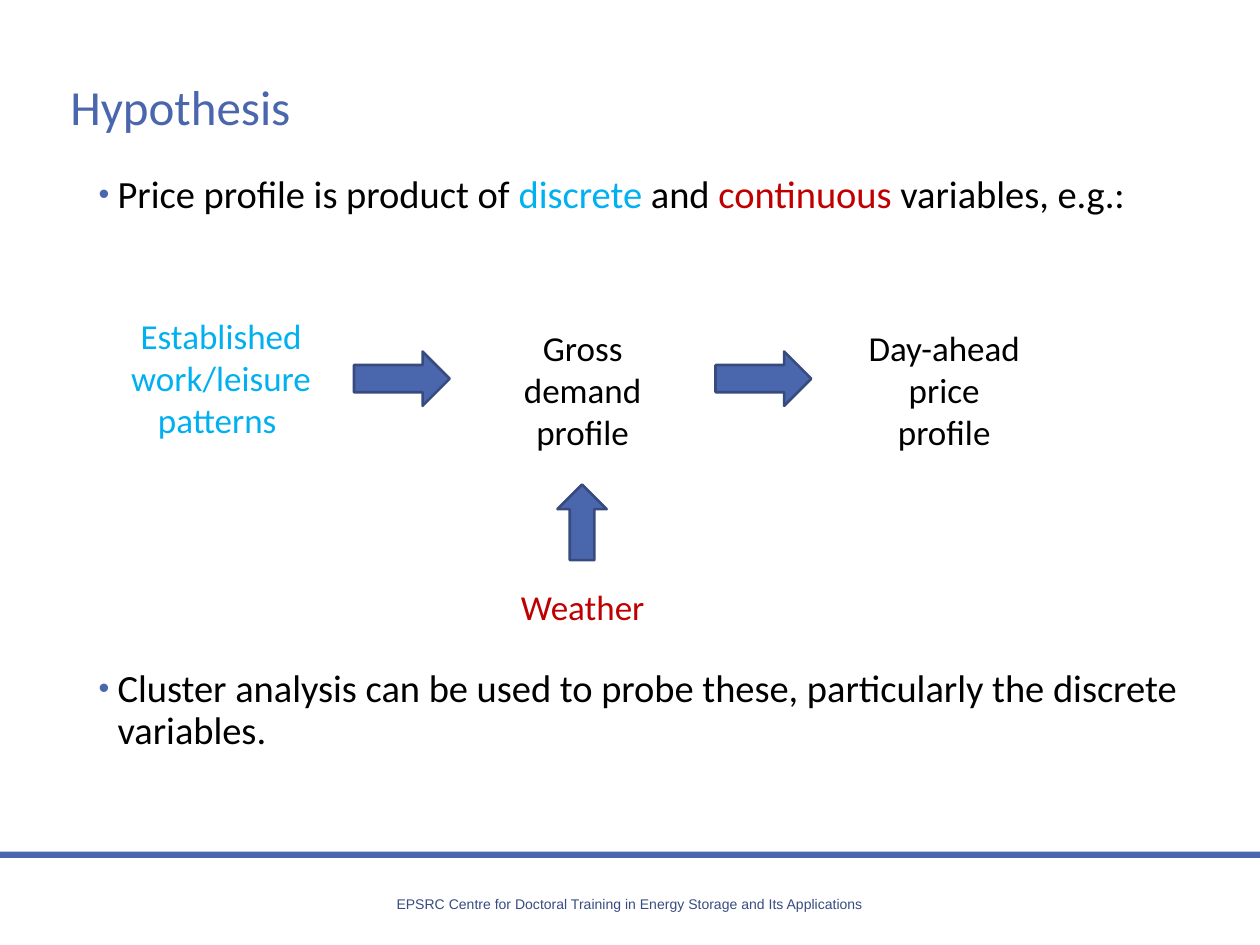
from dataclasses import dataclass

from lxml.etree import SubElement
from pptx import Presentation
from pptx.dml.color import RGBColor as Color
from pptx.enum.shapes import MSO_SHAPE as Shape
from pptx.enum.text import MSO_ANCHOR as Anchor, PP_ALIGN as Align
from pptx.oxml.ns import qn
from pptx.util import Pt


@dataclass(frozen=True)
class Theme:
    accent: str = "4A66AC"
    outline: str = "374B7F"
    footer: str = "384C81"
    panel: str = "FFFFFF"
    text: str = "000000"
    discrete: str = "00B0F0"
    continuous: str = "C00000"
    font: str = "Calibri"
    footer_font: str = "Arial"
    title_size: int = 28
    body_size: int = 22
    label_size: int = 20
    footer_size: int = 8


THEME = Theme()
COLUMN_LEFT, COLUMN_WIDTH, COLUMN_STEP = 64.8, 123.1, 206.6


def add_panel(slide, top, height):
    panel = slide.shapes.add_shape(Shape.RECTANGLE, 0, Pt(top), Pt(720), Pt(height))
    panel.shadow.inherit = False
    panel.fill.solid()
    panel.fill.fore_color.rgb = Color.from_string(THEME.panel)
    panel.line.fill.background()


def add_text(slide, box, paragraphs, size, font=THEME.font, align=Align.LEFT, anchor=Anchor.TOP):
    shape = slide.shapes.add_textbox(*map(Pt, box))
    frame = shape.text_frame
    frame.word_wrap = True
    frame.vertical_anchor = anchor
    for index, runs in enumerate(paragraphs):
        paragraph = frame.add_paragraph() if index else frame.paragraphs[0]
        paragraph.alignment = align
        for text, color in runs:
            run = paragraph.add_run()
            run.text = text
            run.font.name = font
            run.font.size = Pt(size)
            run.font.color.rgb = Color.from_string(color)
    return frame


def add_bullet(slide, box, runs):
    paragraph = add_text(slide, box, [runs], THEME.body_size).paragraphs[0]
    paragraph.line_spacing = 0.9
    paragraph.space_before = Pt(1.5)
    paragraph.space_after = Pt(3)
    properties = paragraph._p.get_or_add_pPr()
    properties.set("marL", str(Pt(27)))
    properties.set("indent", str(Pt(-10.8)))
    bullet_color = SubElement(properties, qn("a:buClr"))
    SubElement(bullet_color, qn("a:srgbClr"), val=THEME.accent)
    SubElement(properties, qn("a:buSzPct"), val="80000")
    SubElement(properties, qn("a:buFont"), typeface="Arial")
    SubElement(properties, qn("a:buChar"), char="•")


def add_label(slide, column, top, height, lines, color):
    box = (COLUMN_LEFT + column * COLUMN_STEP, top, COLUMN_WIDTH, height)
    paragraphs = [[(line, color)] for line in lines]
    add_text(slide, box, paragraphs, THEME.label_size, align=Align.CENTER)


def add_arrow(slide, left, top, width, height, rotation=0):
    arrow = slide.shapes.add_shape(Shape.RIGHT_ARROW, Pt(left), Pt(top), Pt(width), Pt(height))
    arrow.rotation = rotation
    arrow.shadow.inherit = False
    arrow.fill.solid()
    arrow.fill.fore_color.rgb = Color.from_string(THEME.accent)
    arrow.line.color.rgb = Color.from_string(THEME.outline)
    arrow.line.width = Pt(1.5)


def add_frame(slide):
    slide.background.fill.solid()
    slide.background.fill.fore_color.rgb = Color.from_string(THEME.accent)
    add_panel(slide, 490.3, 49.7)
    add_panel(slide, 0, 486.7)
    footer = "EPSRC Centre for Doctoral Training in Energy Storage and Its Applications"
    add_text(slide, (140.4, 508.3, 439.2, 17.3), [[(footer, THEME.footer)]],
             THEME.footer_size, THEME.footer_font, Align.CENTER)


def add_flow(slide):
    add_label(slide, 0, 176.4, 79.9, ["Established work/leisure patterns "], THEME.discrete)
    add_label(slide, 1, 182.9, 79.9, ["Gross demand profile"], THEME.text)
    add_label(slide, 2, 182.9, 79.9, ["Day-ahead price", "profile"], THEME.text)
    add_label(slide, 1, 331.2, 31.7, ["Weather"], THEME.continuous)
    for column in range(2):
        add_arrow(slide, 202.3 + column * COLUMN_STEP, 200.9, 54.7, 31)
    add_arrow(slide, 311, 284.4, 43.2, 28.1, rotation=270)


def main():
    presentation = Presentation()
    presentation.slide_width, presentation.slide_height = Pt(720), Pt(540)
    slide = presentation.slides.add_slide(presentation.slide_layouts[6])
    add_frame(slide)
    title = add_text(slide, (33.1, 28.8, 488.9, 67.7), [[("Hypothesis", THEME.accent)]],
                     THEME.title_size, anchor=Anchor.MIDDLE)
    title.paragraphs[0].line_spacing = 0.9
    add_bullet(slide, (33.1, 96.5, 666, 38.2), [
        ("Price profile is product of ", THEME.text),
        ("discrete", THEME.discrete),
        (" and ", THEME.text),
        ("continuous", THEME.continuous),
        (" variables, e.g.:", THEME.text),
    ])
    add_bullet(slide, (33.1, 379, 666, 62), [
        ("Cluster analysis can be used to probe these, particularly the discrete variables.",
         THEME.text),
    ])
    add_flow(slide)
    presentation.save("out.pptx")


if __name__ == "__main__":
    main()
